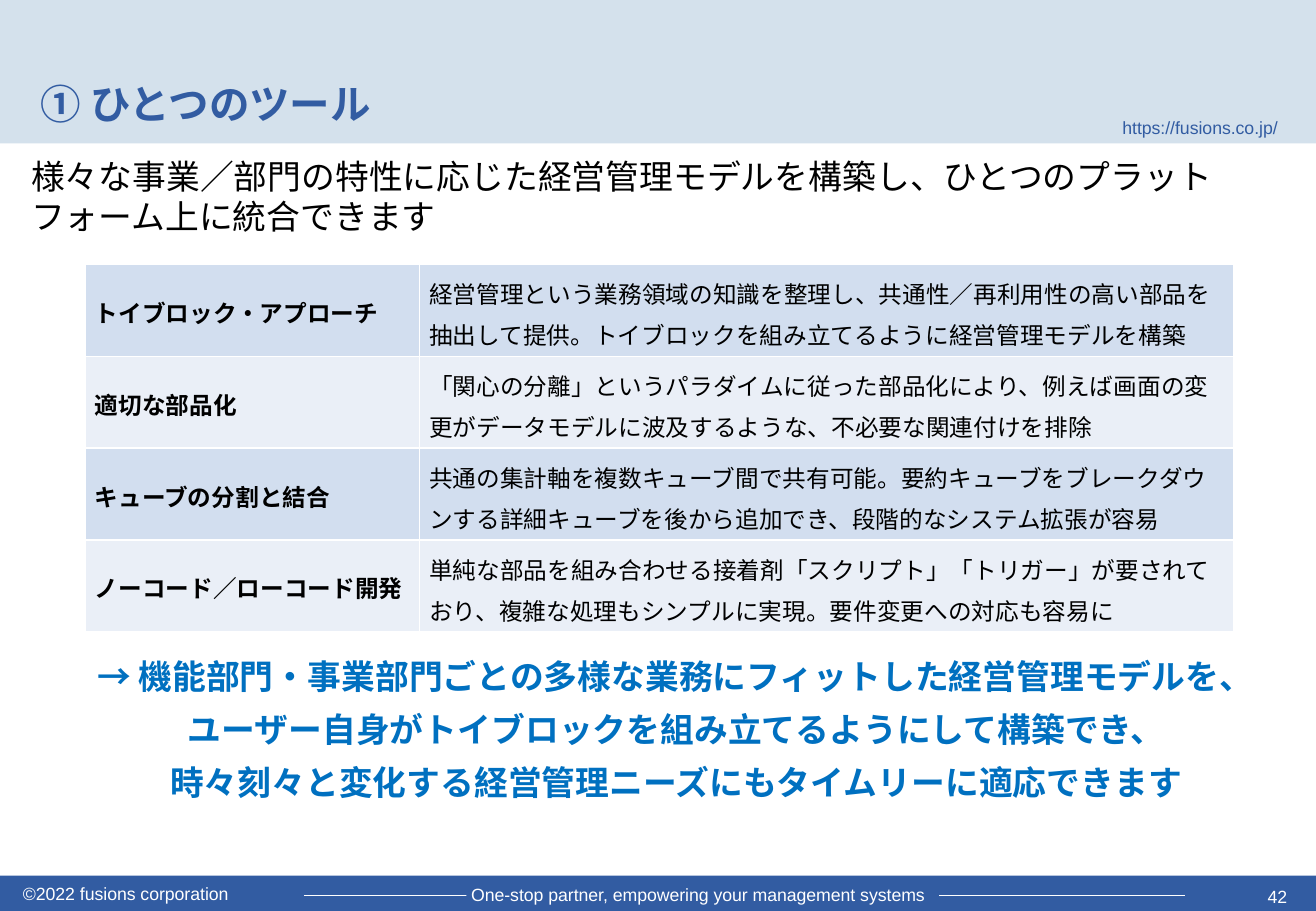
"""Build the slide on a single tool for management models."""
from dataclasses import dataclass, field
from typing import Any

from lxml.etree import SubElement as Sub
from pptx import Presentation as Deck
from pptx.dml.color import RGBColor as Rgb
from pptx.enum.shapes import MSO_CONNECTOR as Conn, MSO_SHAPE as Kind
from pptx.enum.text import MSO_ANCHOR as Anchor, PP_ALIGN as Align
from pptx.oxml.ns import qn
from pptx.util import Cm, Pt

NOTO, ARIAL = "Noto Sans CJK JP", "Arial"
BLUE, PALE, WHITE, BLACK = "325CA2", "D4E1EC", "FFFFFF", "000000"
BANDS = ("D2DEEF", "EAEFF7")
WIDE, HIGH = 27.51, 19.05
SMALL = {"name": ARIAL, "size": Pt(10.5)}


@dataclass
class Label:
    text: str
    box: tuple[float, float, float, float]
    hue: str
    font: dict[str, Any]
    para: dict[str, Any] = field(default_factory=dict)
    frame: dict[str, Any] = field(default_factory=dict)
    hang: float = 0
    fill: str = ""


BARS = [
    ((0, 18.31, WIDE, 0.74), BLUE),
    ((0, 0, WIDE, 3), PALE),
]

LABELS = [
    Label("https://fusions.co.jp/", (23.39, 2.42, 3.4, 0.46), BLUE, SMALL,
          {"alignment": Align.CENTER},
          {"vertical_anchor": Anchor.BOTTOM, "margin_left": 0, "margin_right": 0,
           "margin_top": 0, "margin_bottom": 0}),
    Label("One-stop partner, empowering your management systems",
          (9.75, 18.38, 9.88, 0.56), WHITE, SMALL,
          frame={"margin_left": Cm(0.1), "margin_right": Cm(0.1),
                 "margin_top": Cm(0.1), "margin_bottom": 0}, fill=BLUE),
    Label("©2022 fusions corporation", (0.23, 18.34, 5.05, 0.71), WHITE, SMALL),
    Label("42", (25.15, 18.39, 2.01, 0.74), WHITE, SMALL,
          {"alignment": Align.RIGHT}),
    Label("① ひとつのツール", (0.6, 0.05, 22.17, 2.74), BLUE,
          {"name": "Montserrat", "size": Pt(24), "bold": True},
          frame={"vertical_anchor": Anchor.BOTTOM}),
    Label("様々な事業／部門の特性に応じた経営管理モデルを構築し、ひとつのプラットフォーム上に統合できます",
          (0.4, 3.13, 26.77, 15), BLACK, {"name": NOTO, "size": Pt(20)}),
    Label("→ 機能部門・事業部門ごとの多様な業務にフィットした経営管理モデルを、"
          "ユーザー自身がトイブロックを組み立てるようにして構築でき、\v"
          "時々刻々と変化する経営管理ニーズにもタイムリーに適応できます",
          (1.6, 13.34, 24.33, 3.53), "0070C0",
          {"name": NOTO, "size": Pt(20), "bold": True},
          {"alignment": Align.CENTER, "line_spacing": 1.3}, hang=0.74),
]

ROWS = [
    ("トイブロック・アプローチ",
     "経営管理という業務領域の知識を整理し、共通性／再利用性の高い部品を"
     "抽出して提供。トイブロックを組み立てるように経営管理モデルを構築"),
    ("適切な部品化",
     "「関心の分離」というパラダイムに従った部品化により、例えば画面の変"
     "更がデータモデルに波及するような、不必要な関連付けを排除"),
    ("キューブの分割と結合",
     "共通の集計軸を複数キューブ間で共有可能。要約キューブをブレークダウ"
     "ンする詳細キューブを後から追加でき、段階的なシステム拡張が容易"),
    ("ノーコード／ローコード開発",
     "単純な部品を組み合わせる接着剤「スクリプト」「トリガー」が要されて"
     "おり、複雑な処理もシンプルに実現。要件変更への対応も容易に"),
]


def tint(hue: str) -> Rgb:
    """Turn a hex string into a colour."""
    return Rgb.from_string(hue)


def apply(item: Any, form: dict[str, Any]) -> None:
    """Set each format value on the item."""
    for key, value in form.items():
        setattr(item, key, value)


def paint(item: Any, hue: str) -> None:
    """Give a shape or cell a solid fill."""
    item.fill.solid()
    item.fill.fore_color.rgb = tint(hue)


def write(frame: Any, text: str, hue: str, font: dict[str, Any],
          para: dict[str, Any]) -> Any:
    """Write one styled paragraph and return it."""
    line = frame.paragraphs[0]
    line.text = text
    apply(line, para)
    for run in line.runs:
        apply(run.font, font)
        run.font.color.rgb = tint(hue)
        Sub(run.font._element, qn("a:ea"), typeface=NOTO)
    return line


def add_bar(slide: Any, box: tuple[float, ...], hue: str) -> Any:
    """Draw a plain filled rectangle."""
    bar = slide.shapes.add_shape(Kind.RECTANGLE, *map(Cm, box))
    bar.shadow.inherit = False
    paint(bar, hue)
    bar.line.fill.background()
    return bar


def add_label(slide: Any, label: Label) -> None:
    """Draw a text label, with a fill when it has one."""
    if label.fill:
        shape = add_bar(slide, label.box, label.fill)
    else:
        shape = slide.shapes.add_textbox(*map(Cm, label.box))
    frame = shape.text_frame
    apply(frame, {"word_wrap": True, "vertical_anchor": Anchor.TOP} | label.frame)
    para = {"alignment": Align.LEFT} | label.para
    line = write(frame, label.text, label.hue, label.font, para)
    if label.hang:
        props = line._p.get_or_add_pPr()
        props.set("marL", str(Cm(label.hang)))
        props.set("indent", str(-Cm(label.hang)))
        props.set("hangingPunct", "1")


def add_rule(slide: Any) -> None:
    """Draw the thin footer line."""
    rule = slide.shapes.add_connector(
        Conn.STRAIGHT, Cm(6.35), Cm(18.72), Cm(24.77), Cm(18.72))
    rule.line.color.rgb = tint(WHITE)
    rule.line.width = Pt(0.5)
    Sub(rule._element.spPr, qn("a:effectLst"))


def edge(cell: Any) -> None:
    """Give a cell white borders ahead of its fill."""
    props = cell._tc.get_or_add_tcPr()
    for side in ("lnL", "lnR", "lnT", "lnB"):
        line = Sub(props, qn(f"a:{side}"), w=str(Pt(1)))
        Sub(Sub(line, qn("a:solidFill")), qn("a:srgbClr"), val=WHITE)


def add_grid(slide: Any) -> None:
    """Draw the table of features."""
    cols, high = (6.99, 17.01), 1.92
    box = (1.78, 5.53, sum(cols), high * len(ROWS))
    grid = slide.shapes.add_table(len(ROWS), len(cols), *map(Cm, box)).table
    apply(grid, {"first_row": False, "horz_banding": False})
    for col, wide in zip(grid.columns, cols):
        col.width = Cm(wide)
    for i, texts in enumerate(ROWS):
        grid.rows[i].height = Cm(high)
        for j, text in enumerate(texts):
            cell = grid.cell(i, j)
            apply(cell, {"vertical_anchor": Anchor.MIDDLE,
                         "margin_left": Cm(0.2), "margin_right": Cm(0.2),
                         "margin_top": Cm(0.1), "margin_bottom": Cm(0.1)})
            edge(cell)
            paint(cell, BANDS[i % 2])
            font = {"name": NOTO, "size": Pt(14), "bold": j == 0}
            write(cell.text_frame, text, BLACK, font,
                  {"line_spacing": (1.1, 1.2)[j]})


def main() -> None:
    """Build and save the deck."""
    deck = Deck()
    apply(deck, {"slide_width": Cm(WIDE), "slide_height": Cm(HIGH)})
    slide = deck.slides.add_slide(deck.slide_layouts[6])
    for box, hue in BARS:
        add_bar(slide, box, hue)
    add_rule(slide)
    for label in LABELS:
        add_label(slide, label)
    add_grid(slide)
    deck.save("out.pptx")


if __name__ == "__main__":
    main()
